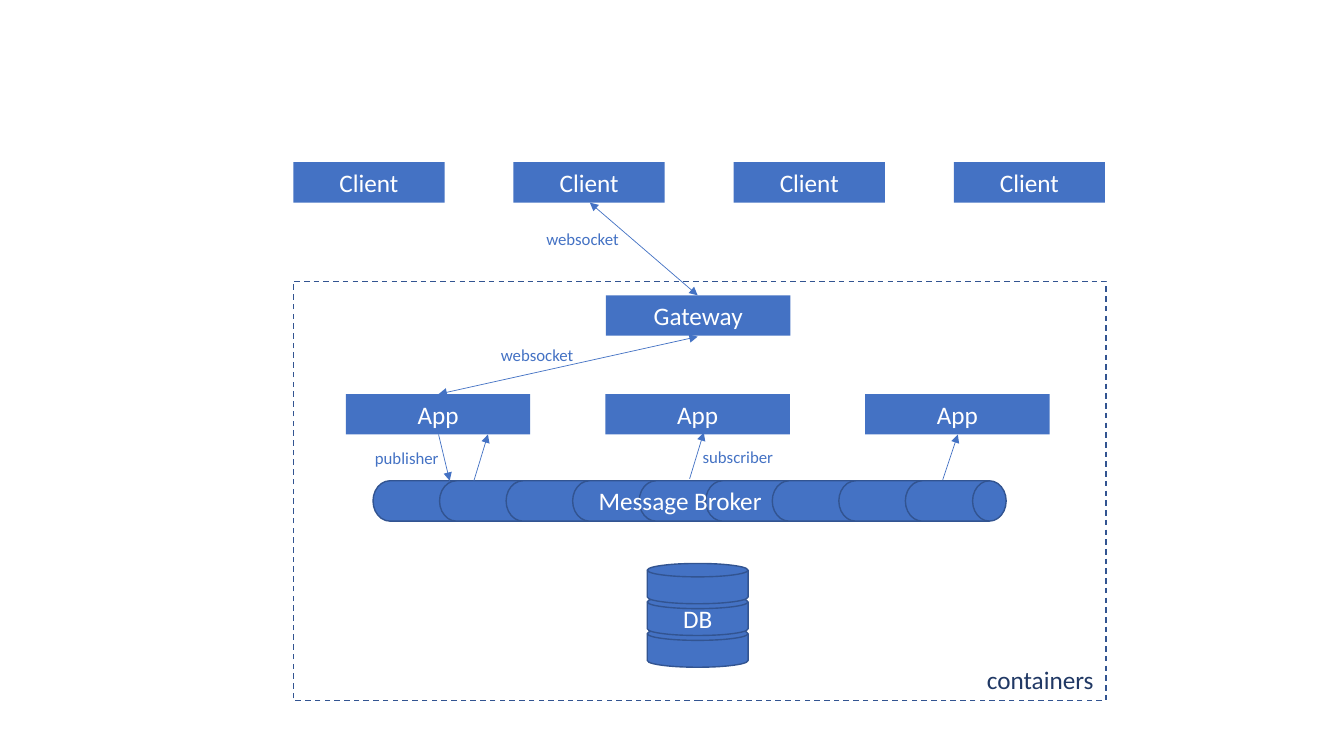
from lxml import etree
from pptx import Presentation
from pptx.dml.color import RGBColor
from pptx.enum.dml import MSO_LINE
from pptx.enum.shapes import MSO_CONNECTOR, MSO_SHAPE
from pptx.enum.text import MSO_ANCHOR, MSO_AUTO_SIZE, PP_ALIGN
from pptx.oxml.ns import qn
from pptx.util import Inches, Pt

BLUE = RGBColor(0x44, 0x72, 0xC4)
EDGE = RGBColor(0x32, 0x54, 0x91)
NAVY = RGBColor(0x20, 0x38, 0x64)
WHITE = RGBColor(0xFF, 0xFF, 0xFF)

RECT = MSO_SHAPE.RECTANGLE
DISK = MSO_SHAPE.FLOWCHART_MAGNETIC_DISK
DRUM = MSO_SHAPE.FLOWCHART_DIRECT_ACCESS_STORAGE
STRAIGHT = MSO_CONNECTOR.STRAIGHT
DASH = MSO_LINE.DASH
TOP, MIDDLE = MSO_ANCHOR.TOP, MSO_ANCHOR.MIDDLE
LEFT, CENTER = PP_ALIGN.LEFT, PP_ALIGN.CENTER
GROW = MSO_AUTO_SIZE.SHAPE_TO_FIT_TEXT

ROW = 0.4
TITLE = {"name": "Calibri", "size": Pt(18)}
SMALL = {"name": "Calibri", "size": Pt(12)}


def write(shape, text, style, color, align=CENTER, anchor=TOP):
    frame = shape.text_frame
    frame.vertical_anchor = anchor
    para = frame.paragraphs[0]
    para.alignment = align
    run = para.add_run()
    run.text = text
    for key, value in style.items():
        setattr(run.font, key, value)
    run.font.color.rgb = color


def add_block(shapes, kind, box, fill=BLUE, line=None):
    shape = shapes.add_shape(kind, *map(Inches, box))
    shape.shadow.inherit = False
    if fill is None:
        shape.fill.background()
    else:
        shape.fill.solid()
        shape.fill.fore_color.rgb = fill
    if line is None:
        shape.line.fill.background()
    else:
        shape.line.color.rgb = line
        shape.line.width = Pt(1)
    return shape


def add_label(shapes, box, text, style, color, align=LEFT, wrap=False):
    label = shapes.add_textbox(*map(Inches, box))
    label.text_frame.word_wrap = wrap
    label.text_frame.auto_size = GROW
    write(label, text, style, color, align)


def add_arrow(shapes, start, end, ends=("tailEnd",)):
    arrow = shapes.add_connector(STRAIGHT, *map(Inches, start + end))
    arrow.line.color.rgb = BLUE
    arrow.line.width = Pt(0.5)
    for tag in ends:
        tip = etree.SubElement(arrow.line._get_or_add_ln(), qn("a:" + tag))
        tip.set("type", "triangle")
    etree.SubElement(arrow._element.spPr, qn("a:effectLst"))


def add_row(shapes, box, text, count, width):
    """Spread equal boxes from the left edge to the right edge of box."""
    left, top, total, height = box
    step = (total - width) / max(count - 1, 1)
    for i in range(count):
        node = add_block(shapes, RECT, (left + i * step, top, width, height))
        write(node, text, TITLE, WHITE)


def add_frame(shapes, box):
    left, top, width, height = box
    frame = add_block(shapes, RECT, box, None, EDGE)
    frame.line.dash_style = DASH
    spot = (left + width - 1.28, top + height - 0.41, 1.27, ROW)
    add_label(shapes, spot, "containers", TITLE, NAVY)


def add_store(shapes, box):
    """Stack three disks, the lowest at the back."""
    left, top, width, height = box
    group = shapes.add_group_shape().shapes
    step = (height - ROW) / 2
    for i in (2, 1, 0):
        spot = (left, top + i * step, width, ROW)
        disk = add_block(group, DISK, spot, line=EDGE)
        if i == 1:
            write(disk, "DB", TITLE, WHITE, anchor=MIDDLE)


def add_broker(shapes, box, count=9, size=1):
    left, top, width, height = box
    step = (width - size) / (count - 1)
    for i in range(count):
        spot = (left + i * step, top, size, height)
        add_block(shapes, DRUM, spot, line=EDGE)
    spot = (left + 0.57, top, 4.95, height)
    add_label(shapes, spot, "Message Broker", TITLE, WHITE, CENTER, True)


def add_links(shapes, box):
    """Join the rows; places are measured from the corner of box."""
    left, top = box[:2]

    def place(x, y):
        return left + x, top + y

    both = ("headEnd", "tailEnd")
    for start, end, ends in (
        ((1.44, 1.52), (1.55, 1.98), both[1:]),
        ((1.79, 1.98), (1.93, 1.52), both[1:]),
        ((3.93, 1.96), (4.07, 1.5), both[1:]),
        ((6.44, 1.97), (6.59, 1.52), both[1:]),
        ((2.94, -0.78), (4.01, 0.14), both),
        ((4.01, 0.55), (1.44, 1.12), both),
    ):
        add_arrow(shapes, place(*start), place(*end), ends)
    for text, x, y, width in (
        ("publisher", 0.71, 1.6, 0.84),
        ("subscriber", 3.96, 1.59, 0.91),
        ("websocket", 1.96, 0.58, 0.93),
        ("websocket", 2.41, -0.57, 0.93),
    ):
        add_label(shapes, place(x, y) + (width, 0.3), text, SMALL, BLUE)


def main():
    deck = Presentation()
    deck.slide_width, deck.slide_height = Inches(13.33), Inches(7.5)
    shapes = deck.slides.add_slide(deck.slide_layouts[6]).shapes
    area = (2.91, 2.79, 8.06, 4.16)
    add_frame(shapes, area)
    add_row(shapes, (2.91, 1.61, 8.05, ROW), "Client", 4, 1.5)
    add_row(shapes, (6.01, 2.93, 1.83, ROW), "Gateway", 1, 1.83)
    add_row(shapes, (3.43, 3.91, 6.98, ROW), "App", 3, 1.83)
    add_store(shapes, (6.42, 5.59, 1, 1.03))
    add_broker(shapes, (3.7, 4.77, 6.28, ROW))
    add_links(shapes, area)
    deck.save("out.pptx")


if __name__ == "__main__":
    main()
